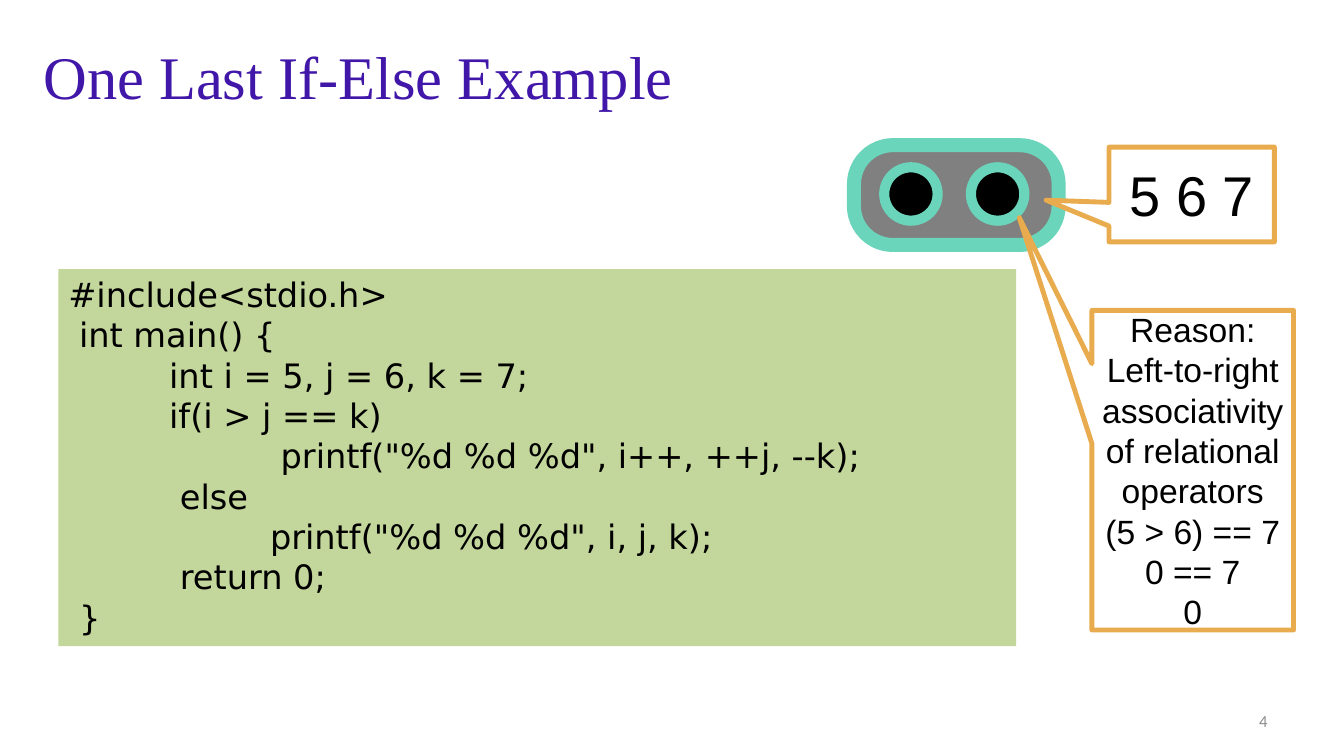
from lxml.etree import SubElement
from pptx import Presentation
from pptx.dml.color import RGBColor
from pptx.enum.shapes import MSO_SHAPE
from pptx.enum.text import MSO_ANCHOR, PP_ALIGN
from pptx.oxml.ns import qn
from pptx.util import Inches, Pt

TEAL = "6AD5BB"
ORANGE = "E8AB4E"
BLACK = "000000"

CODE_LINES = [
    "#include<stdio.h>",
    " int main() {",
    "\tint i = 5, j = 6, k = 7;",
    "\tif(i > j == k)",
    "\t\t printf(\"%d %d %d\", i++, ++j, --k);",
    "\t else",
    "\t\tprintf(\"%d %d %d\", i, j, k);",
    "\t return 0;",
    " }",
]
REASON_LINES = [
    "Reason: Left-to-right associativity of relational operators",
    "(5 > 6) == 7",
    "0 == 7",
    "0",
]


def color(value):
    return RGBColor.from_string(value)


def write_lines(shape, lines, font, size, text_color=BLACK, align=PP_ALIGN.LEFT,
                anchor=MSO_ANCHOR.MIDDLE, spacing=None, side_margin=0.1):
    """Put one paragraph per line into the shape."""
    frame = shape.text_frame
    frame.word_wrap = True
    frame.vertical_anchor = anchor
    frame.margin_left = frame.margin_right = Inches(side_margin)
    for index, line in enumerate(lines):
        paragraph = frame.add_paragraph() if index else frame.paragraphs[0]
        paragraph.alignment = align
        if spacing:
            paragraph.line_spacing = Pt(spacing)
        run = paragraph.add_run()
        run.text = line
        run.font.name = font
        run.font.size = Pt(size)
        run.font.color.rgb = color(text_color)


def set_tab_stops(paragraph, stops):
    tab_list = SubElement(paragraph._p.get_or_add_pPr(), qn("a:tabLst"))
    for stop in stops:
        SubElement(tab_list, qn("a:tab"), pos=str(Inches(stop)), algn="l")


def add_box(shapes, kind, place, fill, line=None, width=0):
    """Add a filled preset shape, outlined only when a line colour is given."""
    shape = shapes.add_shape(kind, *map(Inches, place))
    shape.shadow.inherit = False
    shape.fill.solid()
    shape.fill.fore_color.rgb = color(fill)
    if line:
        shape.line.color.rgb = color(line)
        shape.line.width = Pt(width)
    else:
        shape.line.fill.background()
    return shape


def add_title(slide, text):
    title = slide.shapes.title
    title.left, title.top = Inches(0.33), Inches(0.33)
    title.width, title.height = Inches(12), Inches(0.83)
    write_lines(title, [text], "Times New Roman", 43.2, "4117A9")


def add_slide_number(slide, number):
    box = slide.shapes.add_textbox(Inches(9.56), Inches(6.95), Inches(3.11), Inches(0.4))
    write_lines(box, [number], "Calibri", 12, "8C8C8C", PP_ALIGN.RIGHT)


def add_code(slide, lines):
    panel = add_box(slide.shapes, MSO_SHAPE.RECTANGLE, (0.58, 2.67, 9.5, 3.74), "C3D69B")
    write_lines(panel, lines, "DejaVu Sans", 24, anchor=MSO_ANCHOR.TOP, spacing=28.8)
    for paragraph in panel.text_frame.paragraphs:
        set_tab_stops(paragraph, (1, 2))


def add_face(slide):
    face = slide.shapes.add_group_shape()
    head = add_box(face.shapes, MSO_SHAPE.ROUNDED_RECTANGLE,
                   (8.47, 1.44, 2.03, 0.99), "808080", TEAL, 10)
    head.adjustments[0] = 0.39
    for eye_left in (8.77, 9.63):
        add_box(face.shapes, MSO_SHAPE.OVAL, (eye_left, 1.66, 0.53, 0.53), BLACK, TEAL, 7.25)


def add_callout(slide, place, tip, lines, size, spacing=None):
    """Add a speech box; tip is the pointer end relative to the box centre."""
    callout = add_box(slide.shapes, MSO_SHAPE.RECTANGULAR_CALLOUT, place, "FFFFFF", ORANGE, 3.5)
    callout.adjustments[0], callout.adjustments[1] = tip
    write_lines(callout, lines, "Arial", size, align=PP_ALIGN.CENTER,
                spacing=spacing, side_margin=0.08)


def main():
    presentation = Presentation()
    presentation.slide_width = Inches(13.33)
    presentation.slide_height = Inches(7.5)
    slide = presentation.slides.add_slide(presentation.slide_layouts[5])
    add_title(slide, "One Last If-Else Example")
    add_slide_number(slide, "4")
    add_code(slide, CODE_LINES)
    add_face(slide)
    add_callout(slide, (11, 1.46, 1.64, 0.94), (-0.88, 0.06), ["5 6 7"], 40)
    add_callout(slide, (10.83, 3.08, 2, 3.17), (-0.86, -0.79), REASON_LINES, 24, 28.8)
    presentation.save("out.pptx")


if __name__ == "__main__":
    main()
